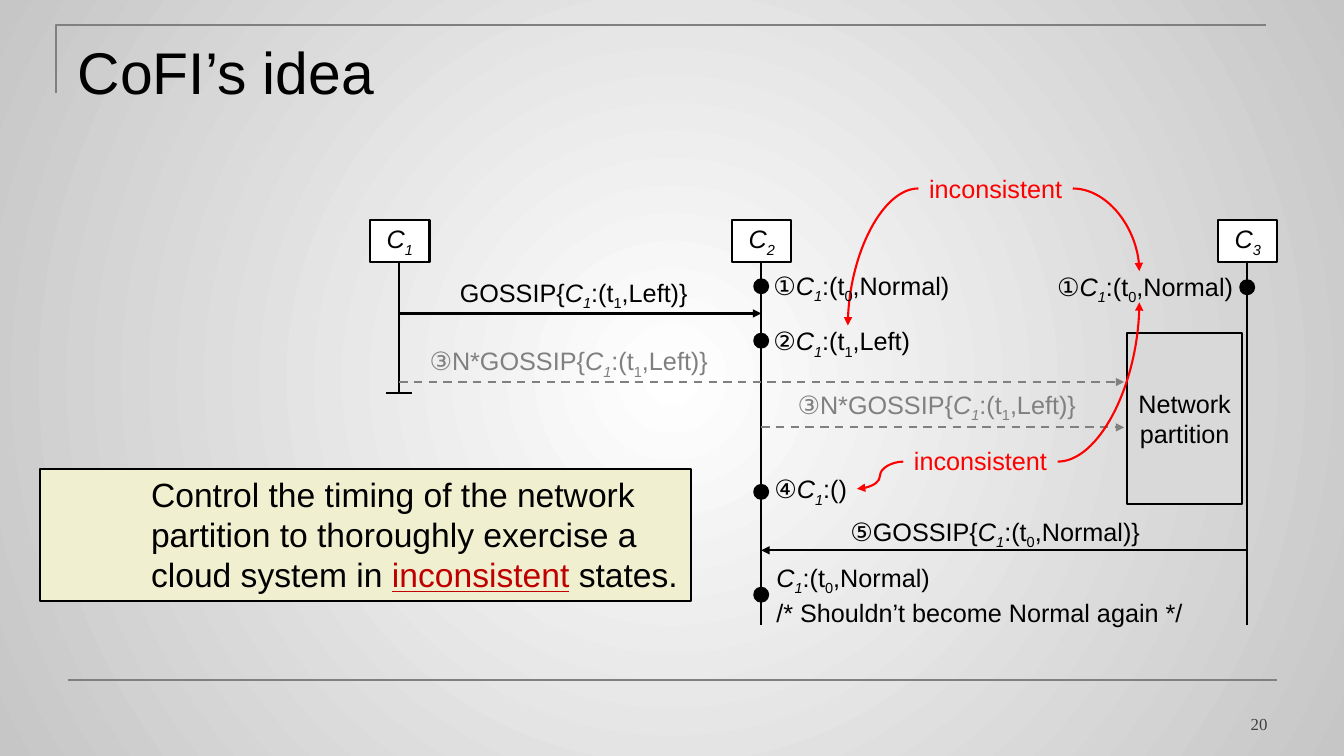
from dataclasses import dataclass
from typing import Optional

from lxml.etree import SubElement
from pptx import Presentation
from pptx.dml.color import RGBColor
from pptx.enum.dml import MSO_LINE
from pptx.enum.shapes import MSO_CONNECTOR, MSO_SHAPE
from pptx.enum.text import MSO_ANCHOR, MSO_AUTO_SIZE, PP_ALIGN
from pptx.oxml.ns import qn
from pptx.util import Inches, Pt


@dataclass(frozen=True)
class Theme:
    font: str = "Arial"
    number_font: str = "Times New Roman"
    black: str = "000000"
    white: str = "FFFFFF"
    edge: str = "C6C6C6"
    gray: str = "808080"
    number: str = "404040"
    partition: str = "D9D9D9"
    callout: str = "F0F0D1"
    red: str = "FF0000"
    dark_red: str = "C00000"
    title_size: int = 42
    callout_size: int = 24
    label_size: int = 18
    number_size: int = 12
    line_width: float = 1.5
    dot_line_width: float = 2


THEME = Theme()


@dataclass(frozen=True)
class Span:
    text: str
    italic: bool = False
    subscript: bool = False
    emphasis: bool = False


@dataclass(frozen=True)
class Label:
    left: float
    top: float
    width: float
    height: float
    lines: list[list[Span]]
    color: str = THEME.black
    align: PP_ALIGN = PP_ALIGN.LEFT
    size: int = THEME.label_size
    font: str = THEME.font
    inset: float = 0
    wrap: bool = False
    anchor: MSO_ANCHOR = MSO_ANCHOR.TOP


@dataclass(frozen=True)
class Link:
    start: tuple[float, float]
    end: tuple[float, float]
    color: str = THEME.black
    arrow: bool = False
    dashed: bool = False
    curve: Optional[str] = None


@dataclass(frozen=True)
class Panel:
    left: float
    top: float
    width: float
    height: float
    fill: str
    spans: list[Span]


def node(number: str) -> list[Span]:
    return [Span("C", italic=True), Span(number, italic=True, subscript=True)]


def state(prefix: str, version: str, ending: str) -> list[Span]:
    """What a message or node says about C1, at a numbered time."""
    return [Span(prefix), *node("1"), Span(":(t"), Span(version, subscript=True), Span("," + ending)]


def rgb(color: str) -> RGBColor:
    return RGBColor.from_string(color)


def write(frame, lines: list[list[Span]], align: PP_ALIGN, color: str = THEME.black,
          size: int = THEME.label_size, font: str = THEME.font) -> None:
    for index, spans in enumerate(lines):
        para = frame.add_paragraph() if index else frame.paragraphs[0]
        para.alignment = align
        para.font.name, para.font.size = font, Pt(size)
        para.font.color.rgb = rgb(color)
        for span in spans:
            run = para.add_run()
            run.text = span.text
            if span.italic:
                run.font.italic = True
            if span.subscript:
                run.font._element.set("baseline", "-25000")
            if span.emphasis:
                run.font.underline = True
                run.font.color.rgb = rgb(THEME.dark_red)


def set_insets(frame, inset: float) -> None:
    frame.margin_left = frame.margin_right = Inches(inset)
    frame.margin_top = frame.margin_bottom = Inches(inset / 2)


def draw_label(page, label: Label) -> None:
    box = page.shapes.add_textbox(*map(Inches, (label.left, label.top, label.width, label.height)))
    frame = box.text_frame
    frame.word_wrap = label.wrap
    frame.auto_size = MSO_AUTO_SIZE.NONE if label.wrap else MSO_AUTO_SIZE.SHAPE_TO_FIT_TEXT
    frame.vertical_anchor = label.anchor
    set_insets(frame, label.inset)
    write(frame, label.lines, label.align, label.color, label.size, label.font)


def draw_panel(page, panel: Panel) -> None:
    box = page.shapes.add_shape(
        MSO_SHAPE.RECTANGLE, *map(Inches, (panel.left, panel.top, panel.width, panel.height)))
    box.shadow.inherit = False
    box.fill.solid()
    box.fill.fore_color.rgb = rgb(panel.fill)
    box.line.color.rgb, box.line.width = rgb(THEME.black), Pt(THEME.line_width)
    if panel.spans:
        set_insets(box.text_frame, 0.05)
        box.text_frame.vertical_anchor = MSO_ANCHOR.MIDDLE
        write(box.text_frame, [panel.spans], PP_ALIGN.CENTER)


def draw_dot(page, x: float, y: float) -> None:
    size = 0.13
    dot = page.shapes.add_shape(
        MSO_SHAPE.OVAL, *map(Inches, (x - size / 2, y - size / 2, size, size)))
    dot.shadow.inherit = False
    dot.fill.solid()
    dot.fill.fore_color.rgb = dot.line.color.rgb = rgb(THEME.black)
    dot.line.width = Pt(THEME.dot_line_width)


def draw_link(page, link: Link) -> None:
    kind = MSO_CONNECTOR.CURVE if link.curve else MSO_CONNECTOR.STRAIGHT
    connector = page.shapes.add_connector(kind, *map(Inches, (*link.start, *link.end)))
    connector.line.color.rgb = rgb(link.color)
    connector.line.width = Pt(THEME.line_width)
    if link.dashed:
        connector.line.dash_style = MSO_LINE.DASH
    properties = connector._element.spPr
    if link.curve:
        properties.find(qn("a:prstGeom")).set("prst", link.curve)
    if link.arrow:
        SubElement(properties.find(qn("a:ln")), qn("a:tailEnd"), type="triangle")
    SubElement(properties, qn("a:effectLst"))


def draw_backdrop(page) -> None:
    """Radial gray background with the corner frame and the bottom rule."""
    fill = page.background.fill
    fill.gradient()
    for stop, color in zip(fill.gradient_stops, (THEME.white, THEME.edge)):
        stop.color.rgb = rgb(color)
    gradient = next(page._element.iter(qn("a:gradFill")))
    gradient.remove(gradient.find(qn("a:lin")))
    circle = SubElement(gradient, qn("a:path"), path="circle")
    SubElement(circle, qn("a:fillToRect"), l="50000", t="50000", r="50000", b="50000")

    builder = page.shapes.build_freeform(Inches(0.56), Inches(0.92))
    corners = [(Inches(0.56), Inches(0.25)), (Inches(12.56), Inches(0.25))]
    builder.add_line_segments(corners, close=False)
    corner = builder.convert_to_shape()
    corner.shadow.inherit = False
    corner.fill.background()
    corner.line.color.rgb, corner.line.width = rgb(THEME.gray), Pt(THEME.line_width)
    draw_link(page, Link((0.67, 6.75), (12.67, 6.75), THEME.gray))


def draw_title(page, text: str) -> None:
    title = page.shapes.title
    title.left, title.top, title.width, title.height = map(Inches, (0.67, 0.3, 12, 1.25))
    title.text_frame.vertical_anchor = MSO_ANCHOR.TOP
    write(title.text_frame, [[Span(text)]], PP_ALIGN.LEFT, size=THEME.title_size)


C1, C2, C3 = 3.96, 7.55, 12.37
LIFELINE_TOP, C1_END, LIFELINE_END = 2.6, 3.9, 6.2
PARTITION_EDGE = 11.15
QUARTER, S_CURVE = "curvedConnector2", "curvedConnector3"
CENTER, RIGHT = PP_ALIGN.CENTER, PP_ALIGN.RIGHT

PANELS = [
    Panel(11.18, 3.3, 1.14, 1.7, THEME.partition, [Span("Network partition")]),
    *(Panel(x - 0.29, 2.18, 0.59, 0.42, THEME.white, node(number))
      for x, number in ((C1, "1"), (C2, "2"), (C3, "3"))),
    Panel(0.4, 4.65, 6.45, 1.31, THEME.callout, []),
]
LINKS = [
    *(Link((x, LIFELINE_TOP), (x, end))
      for x, end in ((C1, C1_END), (C2, LIFELINE_END), (C3, LIFELINE_END))),
    Link((C1 - 0.13, C1_END), (C1 + 0.13, C1_END)),
    Link((C1, 3.11), (C2, 3.11), arrow=True),
    Link((C1, 3.79), (PARTITION_EDGE, 3.79), THEME.gray, arrow=True, dashed=True),
    Link((C2, 4.24), (PARTITION_EDGE, 4.24), THEME.gray, arrow=True, dashed=True),
    Link((C3, 5.46), (C2, 5.46), arrow=True),
    *(Link(start, end, THEME.red, arrow=True, curve=curve) for start, end, curve in (
        ((9.11, 1.87), (8.41, 3.23), QUARTER), ((10.64, 1.87), (11.3, 2.69), QUARTER),
        ((10.49, 4.58), (11.3, 3), QUARTER), ((8.96, 4.58), (8.5, 4.85), S_CURVE))),
]
DOTS = [(C3, 2.85), *((C2, y) for y in (2.84, 3.38, 4.88, 5.9))]
LABELS = [
    Label(10.37, 2.69, 1.86, 0.3, [state("①", "0", "Normal)")], align=RIGHT),
    Label(7.67, 2.68, 1.86, 0.3, [state("①", "0", "Normal)")]),
    Label(4.54, 2.75, 2.3, 0.3, [state("GOSSIP{", "1", "Left)}")], align=CENTER),
    Label(7.67, 3.23, 1.47, 0.3, [state("②", "1", "Left)")]),
    *(Label(x, y, 2.89, 0.3, [state("③N*GOSSIP{", "1", "Left)}")], THEME.gray)
      for x, y in ((4.26, 3.43), (7.91, 3.86))),
    Label(7.68, 4.7, 0.82, 0.3, [[Span("④"), *node("1"), Span(":()")]]),
    Label(8.37, 5.12, 3, 0.3, [state("⑤GOSSIP{", "0", "Normal)}")], align=CENTER),
    Label(7.7, 5.58, 4.07, 0.61, [
        state("", "0", "Normal)")[1:], [Span("/* Shouldn’t become Normal again */")]]),
    *(Label(x, y, 1.53, 0.4, [[Span("inconsistent")]], THEME.red, CENTER, inset=0.1)
      for x, y in ((9.11, 1.67), (8.96, 4.37))),
    Label(1.4, 4.65, 5.44, 1.31, [[
        Span("Control the timing of the network partition to thoroughly exercise a cloud system in "),
        Span("inconsistent", emphasis=True), Span(" states.")]],
        size=THEME.callout_size, inset=0.1, wrap=True),
    Label(9.56, 6.83, 3.11, 0.5, [[Span("20")]], THEME.number, RIGHT, THEME.number_size,
          THEME.number_font, inset=0.1, wrap=True, anchor=MSO_ANCHOR.BOTTOM),
]


def main() -> None:
    deck = Presentation()
    deck.slide_width, deck.slide_height = Inches(13.33), Inches(7.5)
    page = deck.slides.add_slide(deck.slide_layouts[5])
    draw_backdrop(page)
    draw_title(page, "CoFI’s idea")
    for panel in PANELS:
        draw_panel(page, panel)
    for link in LINKS:
        draw_link(page, link)
    for x, y in DOTS:
        draw_dot(page, x, y)
    for label in LABELS:
        draw_label(page, label)
    deck.save("out.pptx")


if __name__ == "__main__":
    main()
